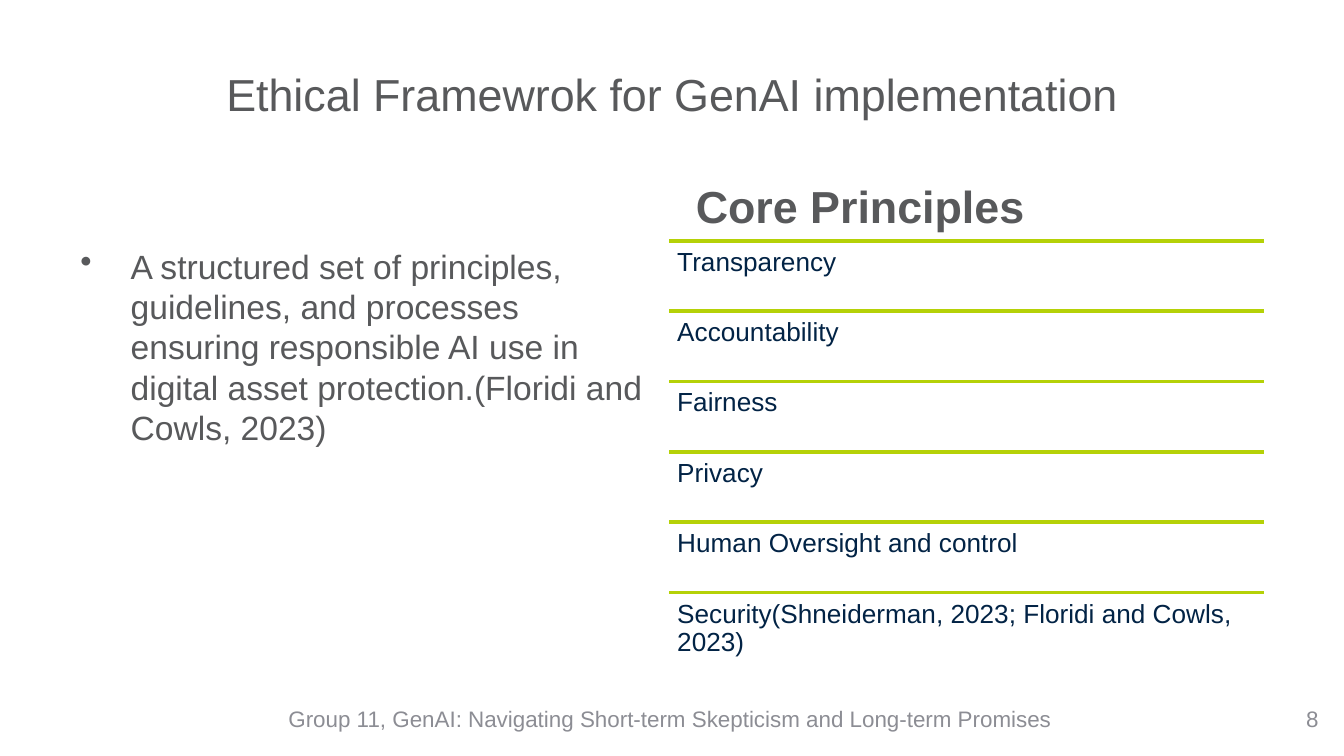
import dataclasses

import pptx
import pptx.dml.color
import pptx.enum.shapes
import pptx.enum.text
import pptx.oxml
import pptx.oxml.ns
import pptx.util

Cm = pptx.util.Cm
Pt = pptx.util.Pt
Align = pptx.enum.text.PP_ALIGN
Anchor = pptx.enum.text.MSO_ANCHOR


@dataclasses.dataclass(frozen=True)
class Theme:
    font: str = "Arial"
    text: str = "58595B"
    navy: str = "022345"
    muted: str = "8C8D94"
    lime: str = "B5D107"
    head: int = 24
    body: int = 18
    item: int = 14
    foot: int = 12


theme = Theme()


def paint(color):
    return pptx.dml.color.RGBColor.from_string(color)


def write(shape, words, size, color, align=Align.LEFT, anchor=Anchor.TOP):
    """Put one styled run in a shape and return its paragraph."""
    frame = shape.text_frame
    frame.word_wrap = True
    frame.auto_size = pptx.enum.text.MSO_AUTO_SIZE.NONE
    frame.vertical_anchor = anchor
    para = frame.paragraphs[0]
    para.alignment = align
    run = para.add_run()
    run.text = words
    run.font.name = theme.font
    run.font.size = Pt(size)
    run.font.color.rgb = paint(color)
    return para


deck = pptx.Presentation()
deck.slide_width, deck.slide_height = Cm(25.4), Cm(14.29)
slide = deck.slides.add_slide(deck.slide_layouts[5])
shapes = slide.shapes

# Title
title = shapes.title
title.left, title.top = Cm(1.27), Cm(0.58)
title.width, title.height = Cm(22.86), Cm(2.39)
write(title, "Ethical Framewrok for GenAI implementation",
      theme.head, theme.text, Align.CENTER, Anchor.MIDDLE)

# Definition with a hanging bullet
box = shapes.add_textbox(Cm(1.27), Cm(4.52), Cm(11.38), Cm(7.77))
para = write(box, "A structured set of principles, guidelines, and processes "
             "ensuring responsible AI use in digital asset protection."
             "(Floridi and Cowls, 2023)", theme.body, theme.text)
para.space_before = Pt(3.6)
props = para._p.get_or_add_pPr()
props.set("marL", str(Cm(0.95)))
props.set("indent", str(-Cm(0.95)))
props.append(pptx.oxml.parse_xml(
    f'<a:buChar {pptx.oxml.ns.nsdecls("a")} char="•"/>'))

# Heading of the list
box = shapes.add_textbox(Cm(12.9), Cm(3.2), Cm(11.23), Cm(1.32))
para = write(box, "Core Principles", theme.head, theme.text,
             anchor=Anchor.BOTTOM)
para.space_before = Pt(4.8)
para.runs[0].font.bold = True

# Footer and page number
for words, left, width, align in (
    ("Group 11, GenAI: Navigating Short-term Skepticism and "
     "Long-term Promises", 4.62, 16.1, Align.CENTER),
    ("8", 19.25, 5.92, Align.RIGHT),
):
    box = shapes.add_textbox(Cm(left), Cm(13.23), Cm(width), Cm(0.76))
    para = write(box, words, theme.foot, theme.muted, align, Anchor.MIDDLE)
    para.line_spacing = 0.9
    para.space_after = Pt(6)

# Principles, each under a rule
items = (
    "Transparency",
    "Accountability",
    "Fairness",
    "Privacy",
    "Human Oversight and control",
    "Security(Shneiderman, 2023; Floridi and Cowls, 2023)",
)
left, wide, step = Cm(12.65), Cm(11.23), Cm(1.33)
group = shapes.add_group_shape().shapes
for row, words in enumerate(items):
    top = Cm(4.55) + row * step
    rule = group.add_connector(pptx.enum.shapes.MSO_CONNECTOR.STRAIGHT,
                               left, top, left + wide, top)
    rule.line.color.rgb = paint(theme.lime)
    rule.line.width = Pt(2)
    rule._element.spPr.append(
        pptx.oxml.parse_xml(f'<a:effectLst {pptx.oxml.ns.nsdecls("a")}/>'))

    box = group.add_textbox(left, top, wide, step)
    frame = box.text_frame
    frame.margin_left = frame.margin_right = Cm(0.15)
    frame.margin_top = frame.margin_bottom = Cm(0.15)
    para = write(box, words, theme.item, theme.navy)
    para.line_spacing = 0.9
    para.space_after = Pt(4.9)

deck.save("out.pptx")
